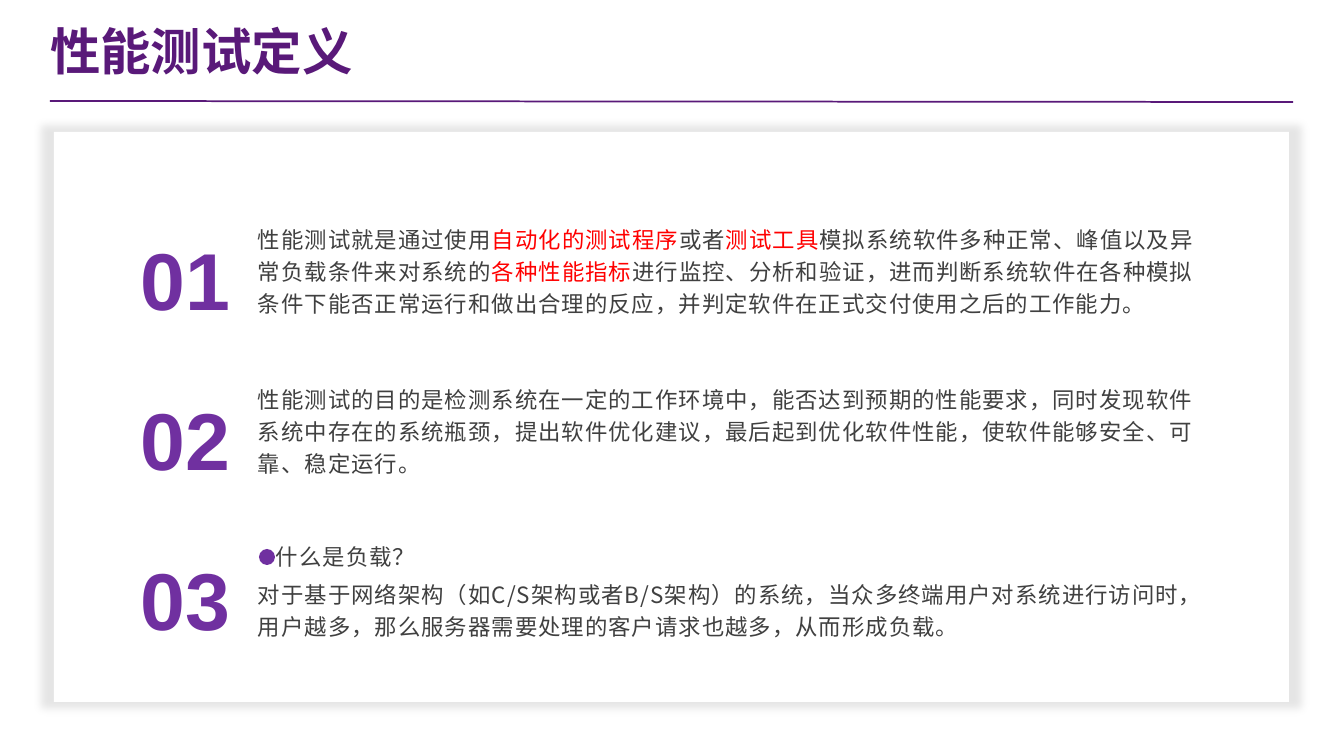
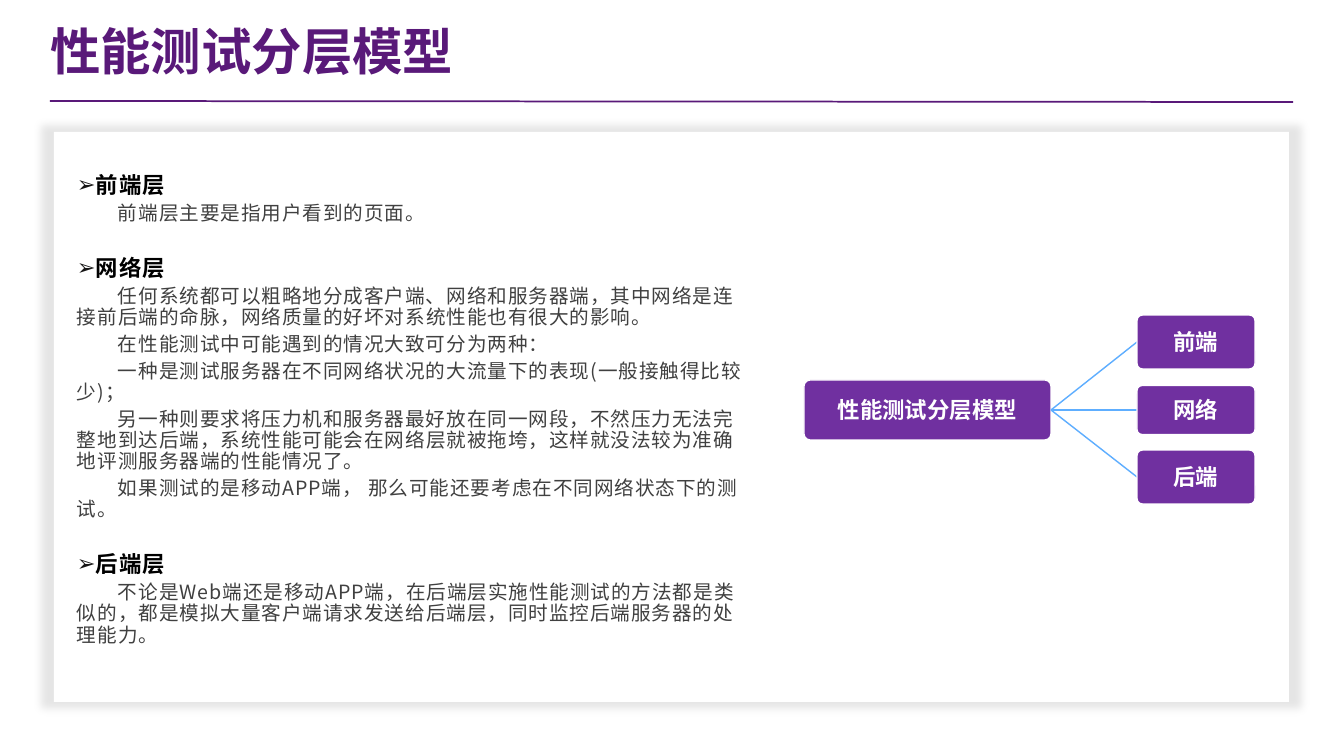
from lxml.etree import SubElement
from pptx import Presentation
from pptx.dml.color import RGBColor
from pptx.enum.shapes import MSO_CONNECTOR as LINE, MSO_SHAPE as SHAPE
from pptx.enum.text import MSO_ANCHOR as ANCHOR, MSO_AUTO_SIZE as FIT, PP_ALIGN as ALIGN
from pptx.oxml.ns import qn
from pptx.util import Emu, Pt

DEEP_PURPLE = RGBColor(0x59, 0x19, 0x79)
PURPLE = RGBColor(0x70, 0x30, 0xA0)
LINK_BLUE = RGBColor(0x5E, 0xAE, 0xFF)
TEXT_GREY = RGBColor(0x40, 0x40, 0x40)
BULLET_GREY = RGBColor(0x16, 0x15, 0x15)
RED = RGBColor(0xFF, 0x00, 0x00)
BLACK = RGBColor(0x00, 0x00, 0x00)
WHITE = RGBColor(0xFF, 0xFF, 0xFF)

CJK_FONT = "Noto Sans CJK SC"
LATIN_FONT = "Arial"
TITLE_ONLY = 5

# Each definition is a list of paragraphs; each paragraph is (text, colour) spans
DEFINITIONS = [
    [[("性能测试就是通过使用", TEXT_GREY), ("自动化的测试程序", RED), ("或者", TEXT_GREY),
      ("测试工具", RED), ("模拟系统软件多种正常、峰值以及异常负载条件来对系统的", TEXT_GREY),
      ("各种性能指标", RED),
      ("进行监控、分析和验证，进而判断系统软件在各种模拟条件下能否正常运行和做出合理的反应，"
       "并判定软件在正式交付使用之后的工作能力。", TEXT_GREY)]],
    [[("性能测试的目的是检测系统在一定的工作环境中，能否达到预期的性能要求，"
       "同时发现软件系统中存在的系统瓶颈，提出软件优化建议，最后起到优化软件性能，"
       "使软件能够安全、可靠、稳定运行。", TEXT_GREY)]],
    [[("什么是负载？", TEXT_GREY)],
     [("对于基于网络架构（如C/S架构或者B/S架构）的系统，当众多终端用户对系统进行访问时，"
       "用户越多，那么服务器需要处理的客户请求也越多，从而形成负载。", TEXT_GREY)]],
]

LAYERS = {
    "前端层": ["前端层主要是指用户看到的页面。"],
    "网络层": [
        "任何系统都可以粗略地分成客户端、网络和服务器端，其中网络是连接前后端的命脉，"
        "网络质量的好坏对系统性能也有很大的影响。",
        "在性能测试中可能遇到的情况大致可分为两种：",
        "一种是测试服务器在不同网络状况的大流量下的表现(一般接触得比较少)；",
        "另一种则要求将压力机和服务器最好放在同一网段，不然压力无法完整地到达后端，"
        "系统性能可能会在网络层就被拖垮，这样就没法较为准确地评测服务器端的性能情况了。",
        "如果测试的是移动APP端， 那么可能还要考虑在不同网络状态下的测试。",
    ],
    "后端层": [
        "不论是Web端还是移动APP端，在后端层实施性能测试的方法都是类似的，"
        "都是模拟大量客户端请求发送给后端层，同时监控后端服务器的处理能力。",
    ],
}


def px(length):
    return Emu(round(length * 914400 / 50.4))


def place(*lengths):
    return [px(length) for length in lengths]


def format_span(span, size, color, bold=False, font=CJK_FONT, spacing=0):
    span.font.size = Pt(size)
    span.font.bold = bold
    span.font.color.rgb = color
    span.font.name = font
    properties = span.font._element
    SubElement(properties, qn("a:ea")).set("typeface", CJK_FONT)
    if spacing:
        properties.set("spc", str(round(spacing * 100)))


def set_indent(para, margin, first_line):
    properties = para._p.get_or_add_pPr()
    properties.set("marL", str(px(margin)))
    properties.set("indent", str(px(first_line)))


def add_bullet(para, char, color):
    properties = para._p.get_or_add_pPr()
    fill = SubElement(SubElement(properties, qn("a:buClr")), qn("a:srgbClr"))
    fill.set("val", str(color))
    SubElement(properties, qn("a:buFont")).set("typeface", LATIN_FONT)
    SubElement(properties, qn("a:buChar")).set("char", char)


def add_shadow(parent, blur, distance, alpha, scale=100, angle=45):
    effects = SubElement(parent, qn("a:effectLst"))
    shadow = SubElement(effects, qn("a:outerShdw"), {
        "blurRad": str(Pt(blur)), "dist": str(Pt(distance)), "dir": str(angle * 60000),
        "sx": str(scale * 1000), "sy": str(scale * 1000), "algn": "ctr", "rotWithShape": "0"})
    color = SubElement(shadow, qn("a:srgbClr"), val=str(BLACK))
    SubElement(color, qn("a:alpha"), val=str(alpha * 1000))
    return effects


def set_frame(frame, margin, anchor=ANCHOR.MIDDLE):
    frame.word_wrap = True
    frame.auto_size = FIT.NONE
    frame.vertical_anchor = anchor
    frame.margin_left = frame.margin_right = px(margin)
    frame.margin_top = frame.margin_bottom = px(margin)


def add_text_box(slide, left, top, width, height, margin):
    box = slide.shapes.add_textbox(*place(left, top, width, height))
    set_frame(box.text_frame, margin)
    return box.text_frame


def next_paragraph(frame, is_first):
    return frame.paragraphs[0] if is_first else frame.add_paragraph()


def add_shape(slide, kind, left, top, width, height, fill, line=None):
    shape = slide.shapes.add_shape(kind, *place(left, top, width, height))
    shape.fill.solid()
    shape.fill.fore_color.rgb = fill
    if line is None:
        shape.line.fill.background()
    else:
        shape.line.color.rgb = line
        shape.line.width = Pt(2)
    shape.shadow.inherit = False
    return shape


def add_line(slide, start, end, color, width):
    line = slide.shapes.add_connector(LINE.STRAIGHT, *place(*start, *end))
    line.line.color.rgb = color
    line.line.width = Pt(width)
    SubElement(line._element.spPr, qn("a:effectLst"))


def add_page(deck, title):
    """Add a slide with the shared title, rule and shadowed card."""
    slide = deck.slides.add_slide(deck.slide_layouts[TITLE_ONLY])
    heading = slide.shapes.title
    heading.left, heading.top, heading.width, heading.height = place(50, 17, 859, 67)
    set_frame(heading.text_frame, 0)
    heading.text_frame.text = title
    para = heading.text_frame.paragraphs[0]
    para.alignment = ALIGN.LEFT
    format_span(para.runs[0], 72, DEEP_PURPLE, True, LATIN_FONT)
    add_line(slide, (50, 101), (1293, 102), DEEP_PURPLE, 2.5)

    card = add_shape(slide, SHAPE.RECTANGLE, 54, 132, 1235, 570, WHITE)
    properties = card._element.spPr
    properties.remove(properties.find(qn("a:effectLst")))
    add_shadow(properties, 12, 0, 10, scale=102)
    return slide


def add_number(slide, number, top):
    frame = add_text_box(slide, 124, top, 123, 134, 0)
    frame.text = f"{number:02}"
    para = frame.paragraphs[0]
    para.alignment = ALIGN.CENTER
    para.line_spacing = 1.2
    span = para.runs[0]
    format_span(span, 115.2, PURPLE, True, LATIN_FONT)
    properties = span.font._element
    effects = add_shadow(properties, 3, 3, 40)
    properties.find(qn("a:solidFill")).addnext(effects)


def add_definition(slide, paragraphs, top):
    frame = add_text_box(slide, 253, top, 967, 134, 5)
    for index, spans in enumerate(paragraphs):
        para = next_paragraph(frame, index == 0)
        para.line_spacing = 1.2
        para.space_after = Pt(8)
        for text, color in spans:
            span = para.add_run()
            span.text = text
            format_span(span, 32, color, spacing=1.4)
    return frame


def add_layer_text(slide, layers):
    frame = add_text_box(slide, 73, 156, 685, 508, 4)
    for index, (name, details) in enumerate(layers.items()):
        heading = next_paragraph(frame, index == 0)
        heading.text = name
        set_indent(heading, 18, -18)
        if index:
            heading.space_before = Pt(38)
        heading.line_spacing = 0.9
        heading.space_after = Pt(8)
        add_bullet(heading, "➢", BULLET_GREY)
        format_span(heading.runs[0], 32, BLACK, True, spacing=1.4)
        for detail in details:
            para = frame.add_paragraph()
            para.text = detail
            set_indent(para, 0, 41)
            para.line_spacing = 0.9
            para.space_after = Pt(8)
            format_span(para.runs[0], 28, TEXT_GREY, spacing=1.4)


def add_node(slide, text, left, top, width, height):
    node = add_shape(slide, SHAPE.ROUNDED_RECTANGLE, left, top, width, height, PURPLE, WHITE)
    node.adjustments[0] = 0.1
    set_frame(node.text_frame, 1)
    node.text_frame.text = text
    para = node.text_frame.paragraphs[0]
    para.alignment = ALIGN.CENTER
    format_span(para.runs[0], 32, WHITE, True)


def add_layer_tree(slide):
    middle, root_right, leaf_left = 410, 1051, 1137
    add_node(slide, "性能测试分层模型", 804, middle - 30, root_right - 804, 60)
    for text, center, height in [("前端", 342, 54), ("网络", middle, 49), ("后端", 477, 54)]:
        add_line(slide, (root_right, middle), (leaf_left, center), LINK_BLUE, 2)
        add_node(slide, text, leaf_left, center - height / 2, 118, height)


def build_definition_page(deck):
    slide = add_page(deck, "性能测试定义")
    for index, paragraphs in enumerate(DEFINITIONS):
        top = 202 + 160 * index
        add_number(slide, index + 1, top)
        frame = add_definition(slide, paragraphs, top)
    # The question in the last definition stands beside a dot
    set_indent(frame.paragraphs[0], 0, 18)
    add_shape(slide, SHAPE.OVAL, 259, 549, 16, 16, PURPLE)


def build_layer_page(deck):
    slide = add_page(deck, "性能测试分层模型")
    add_layer_text(slide, LAYERS)
    add_layer_tree(slide)


def main():
    deck = Presentation()
    deck.slide_width, deck.slide_height = place(1344, 756)
    build_definition_page(deck)
    build_layer_page(deck)
    deck.save("out.pptx")


if __name__ == "__main__":
    main()
